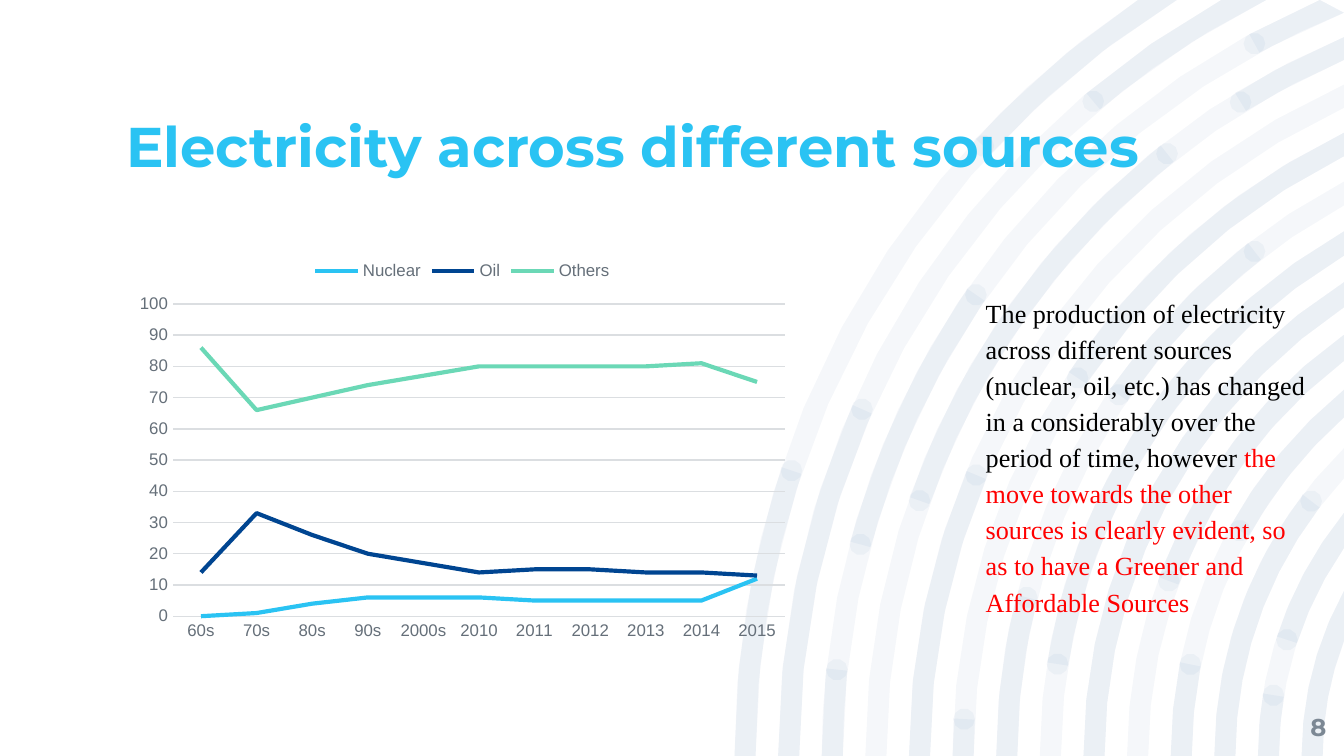
from math import acos, asin, ceil, cos, degrees, pi, radians, sin

from lxml import etree
from pptx import Presentation
from pptx.chart.data import CategoryChartData
from pptx.dml.color import RGBColor
from pptx.enum.chart import XL_CHART_TYPE, XL_LEGEND_POSITION, XL_MARKER_STYLE, XL_TICK_MARK
from pptx.enum.text import MSO_ANCHOR, MSO_AUTO_SIZE, PP_ALIGN
from pptx.oxml.ns import qn
from pptx.util import Pt

LINE_CHART = XL_CHART_TYPE.LINE
LEGEND_TOP = XL_LEGEND_POSITION.TOP
NO_MARKER = XL_MARKER_STYLE.NONE
NO_TICK = XL_TICK_MARK.NONE
TOP, MIDDLE, BOTTOM = MSO_ANCHOR.TOP, MSO_ANCHOR.MIDDLE, MSO_ANCHOR.BOTTOM
LEFT, RIGHT = PP_ALIGN.LEFT, PP_ALIGN.RIGHT
GROW = MSO_AUTO_SIZE.SHAPE_TO_FIT_TEXT

SKY = RGBColor(0x2A, 0xC3, 0xF3)
NAVY = RGBColor(0x00, 0x45, 0x91)
MINT = RGBColor(0x6B, 0xD8, 0xB6)
RED = RGBColor(0xFF, 0x00, 0x00)
BLACK = RGBColor(0x00, 0x00, 0x00)
INK = RGBColor(0x1E, 0x21, 0x24)
LABEL_GRAY = RGBColor(0x65, 0x6F, 0x79)
NUMBER_GRAY = RGBColor(0x7C, 0x88, 0x94)
GRID_GRAY = RGBColor(0xDB, 0xDE, 0xE1)

WIDTH, HEIGHT = 720, 405

presentation = Presentation()
presentation.slide_width, presentation.slide_height = Pt(WIDTH), Pt(HEIGHT)
slide = presentation.slides.add_slide(presentation.slide_layouts[6])


def add_outlines(contours):
    """Draw closed contours as one pale, see-through freeform."""
    builder = None
    for contour in contours:
        points = [(Pt(x), Pt(y)) for x, y in contour]
        if builder is None:
            builder = slide.shapes.build_freeform(*points[0])
        else:
            builder.move_to(*points[0])
        builder.add_line_segments(points[1:], close=True)
    shape = builder.convert_to_shape()
    shape.shadow.inherit = False
    shape.line.fill.background()
    shape.fill.solid()
    shape.fill.fore_color.rgb = NAVY
    color = shape.fill._xPr.find(qn("a:solidFill"))[0]
    etree.SubElement(color, qn("a:alpha"), val="4000")


def add_text(runs, box, font, size, bold=False, align=LEFT, anchor=TOP,
             inset=0, spacing=1, before=0, indent=0, grow=False):
    """Add a one-paragraph text box; runs is a list of (text, color)."""
    text_box = slide.shapes.add_textbox(*[Pt(value) for value in box])
    frame = text_box.text_frame
    frame.word_wrap = True
    frame.vertical_anchor = anchor
    frame.margin_left = frame.margin_right = Pt(inset)
    frame.margin_top = frame.margin_bottom = Pt(inset / 2)
    if grow:
        frame.auto_size = GROW
    paragraph = frame.paragraphs[0]
    paragraph.alignment = align
    paragraph.line_spacing = spacing
    paragraph.space_before = Pt(before)
    if indent:
        properties = paragraph._p.get_or_add_pPr()
        properties.set("marL", str(Pt(indent)))
        properties.set("indent", "0")
    for text, color in runs:
        run = paragraph.add_run()
        run.text = text
        run.font.name, run.font.size, run.font.bold = font, Pt(size), bold
        run.font.color.rgb = color


# Background rings: centre lies right of the slide, on its bottom edge
CENTER_X, CENTER_Y = 881, HEIGHT
OUTER_RADIUS, RING_STEP, BAND = 487.5, 23.37, 11.3
DOT_RADIUS, DOT_CORNERS = 5.8, 10
EDGE = 90
DEGREES_PER_STEP = 6
# Stretches of each ring drawn twice, in degrees above the bottom edge
STRETCHES = [
    [(0, 18.5), (42.7, EDGE)],
    [(0, 23.9), (49.9, EDGE)],
    [(0, 6.1), (15.1, 34.6), (61.3, EDGE)],
    [(19.4, 51.6), (58.3, EDGE)],
    [(0, 22.8)],
    [(0, 3.1), (33.7, EDGE)],
    [(0, 14.4), (34.5, 52.3)],
    [(8.9, EDGE)],
    [(0, EDGE)],
    [(20.2, EDGE)],
    [(0, 11.4), (29.1, EDGE)],
    [(0, 37.4)],
    [(0, 9.3), (18, EDGE)],
    [(0, EDGE)],
]

for layer in ([[(0, EDGE)]] * len(STRETCHES), STRETCHES):
    bands = []
    for ring, stretches in enumerate(layer):
        outer = OUTER_RADIUS - ring * RING_STEP
        for start, end in stretches:
            arcs = []
            for radius in (outer, outer - BAND):
                # Stop where the arc leaves the slide at the top or right
                limit = min(asin(min(1, HEIGHT / radius)),
                            acos((CENTER_X - WIDTH) / radius))
                first, last = radians(start), min(radians(end), limit)
                steps = ceil(degrees(last - first) / DEGREES_PER_STEP)
                angles = [first + (last - first) * step / steps for step in range(steps + 1)]
                arcs.append([(CENTER_X - radius * cos(angle), CENTER_Y - radius * sin(angle))
                             for angle in angles])
            bands.append(arcs[0] + arcs[1][::-1])
    add_outlines(bands)

# Dots at the free ends of the stretches
dots = []
for ring, stretches in enumerate(STRETCHES):
    radius = OUTER_RADIUS - ring * RING_STEP - BAND / 2
    for angle in [radians(end) for stretch in stretches for end in stretch if 0 < end < EDGE]:
        x, y = CENTER_X - radius * cos(angle), CENTER_Y - radius * sin(angle)
        turns = [2 * pi * corner / DOT_CORNERS for corner in range(DOT_CORNERS)]
        dots.append([(x + DOT_RADIUS * cos(turn), y + DOT_RADIUS * sin(turn)) for turn in turns])
add_outlines(dots)

# Title and slide number
add_text([("Electricity across different sources", SKY)], (67.7, 65.5, 585.4, 31),
         "Montserrat", 30, bold=True, anchor=BOTTOM, spacing=0.9)
add_text([("8", NUMBER_GRAY)], (667.4, 373.7, 43.2, 31),
         "Montserrat", 13, bold=True, align=RIGHT, anchor=MIDDLE)

# Line chart
SERIES = [
    ("Nuclear", SKY, (0, 1, 4, 6, 6, 6, 5, 5, 5, 5, 12)),
    ("Oil", NAVY, (14, 33, 26, 20, 17, 14, 15, 15, 14, 14, 13)),
    ("Others", MINT, (86, 66, 70, 74, 77, 80, 80, 80, 80, 81, 75)),
]
chart_data = CategoryChartData()
chart_data.categories = ["60s", "70s", "80s", "90s", "2000s",
                         "2010", "2011", "2012", "2013", "2014", "2015"]
for name, color, values in SERIES:
    chart_data.add_series(name, values)
chart = slide.shapes.add_chart(LINE_CHART, Pt(67.7), Pt(131.8), Pt(360), Pt(216),
                               chart_data).chart
chart.has_title = False
chart.font.name, chart.font.size = "Arial", Pt(10)
chart.font.color.rgb = INK
chart.has_legend = True
chart.legend.position = LEGEND_TOP
chart.legend.include_in_layout = False
chart.plots[0].vary_by_categories = False
for series, (name, color, values) in zip(chart.plots[0].series, SERIES):
    series.smooth = False
    series.marker.style = NO_MARKER
    series.format.line.width = Pt(2.25)
    series.format.line.color.rgb = color

category_axis, value_axis = chart.category_axis, chart.value_axis
for axis in (category_axis, value_axis):
    axis.major_tick_mark = axis.minor_tick_mark = NO_TICK
for font in (category_axis.tick_labels.font, value_axis.tick_labels.font, chart.legend.font):
    font.name, font.size = "Arial", Pt(9)
    font.color.rgb = LABEL_GRAY
value_axis.minimum_scale, value_axis.maximum_scale, value_axis.major_unit = 0, 100, 10
value_axis.has_major_gridlines = True
value_axis.format.line.fill.background()
for line in (category_axis.format.line, value_axis.major_gridlines.format.line):
    line.width = Pt(0.75)
    line.color.rgb = GRID_GRAY

# Comment beside the chart
add_text([("The production of electricity across different sources (nuclear, oil, etc.) "
           "has changed in a considerably over the period of time, however ", BLACK),
          ("the move towards the other sources is clearly evident, "
           "so as to have a Greener and Affordable Sources", RED)],
         (509, 153.4, 198, 181.4), "Times New Roman", 14,
         inset=7.2, spacing=1.15, before=12, indent=12, grow=True)

presentation.save("out.pptx")
